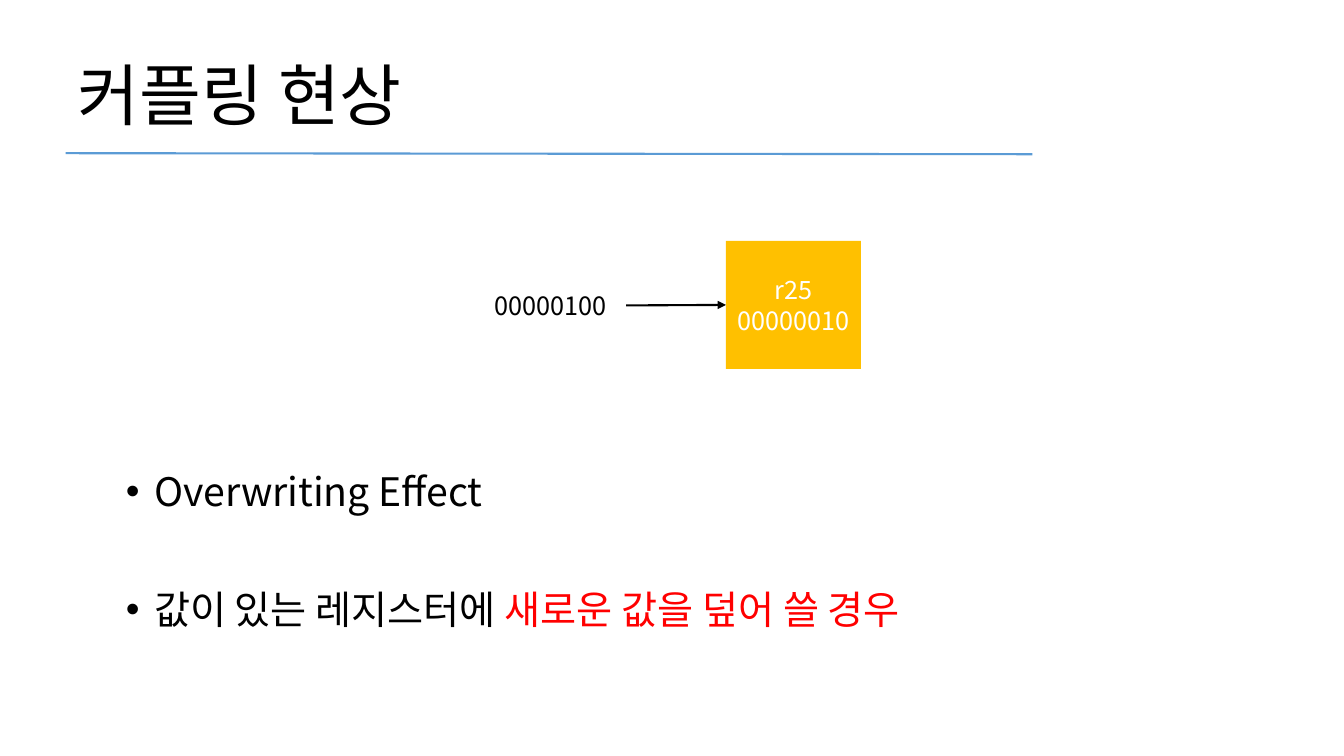
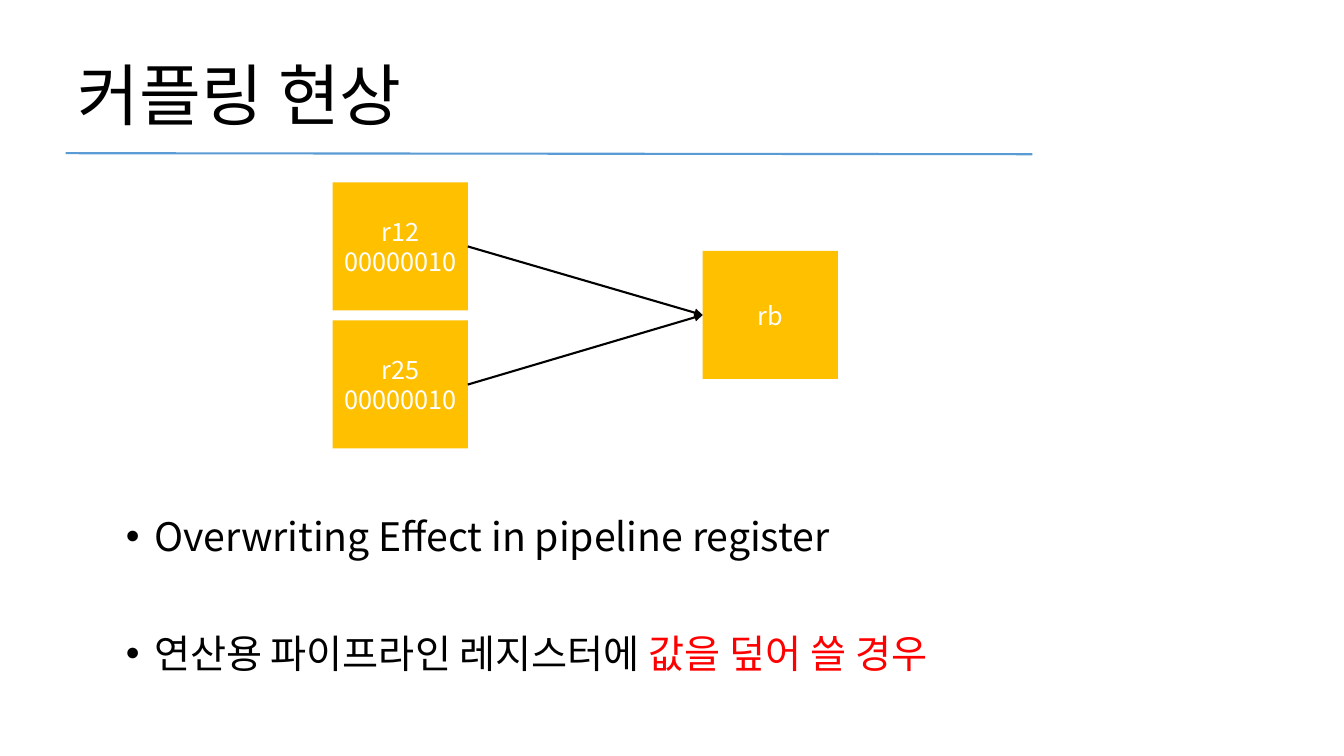
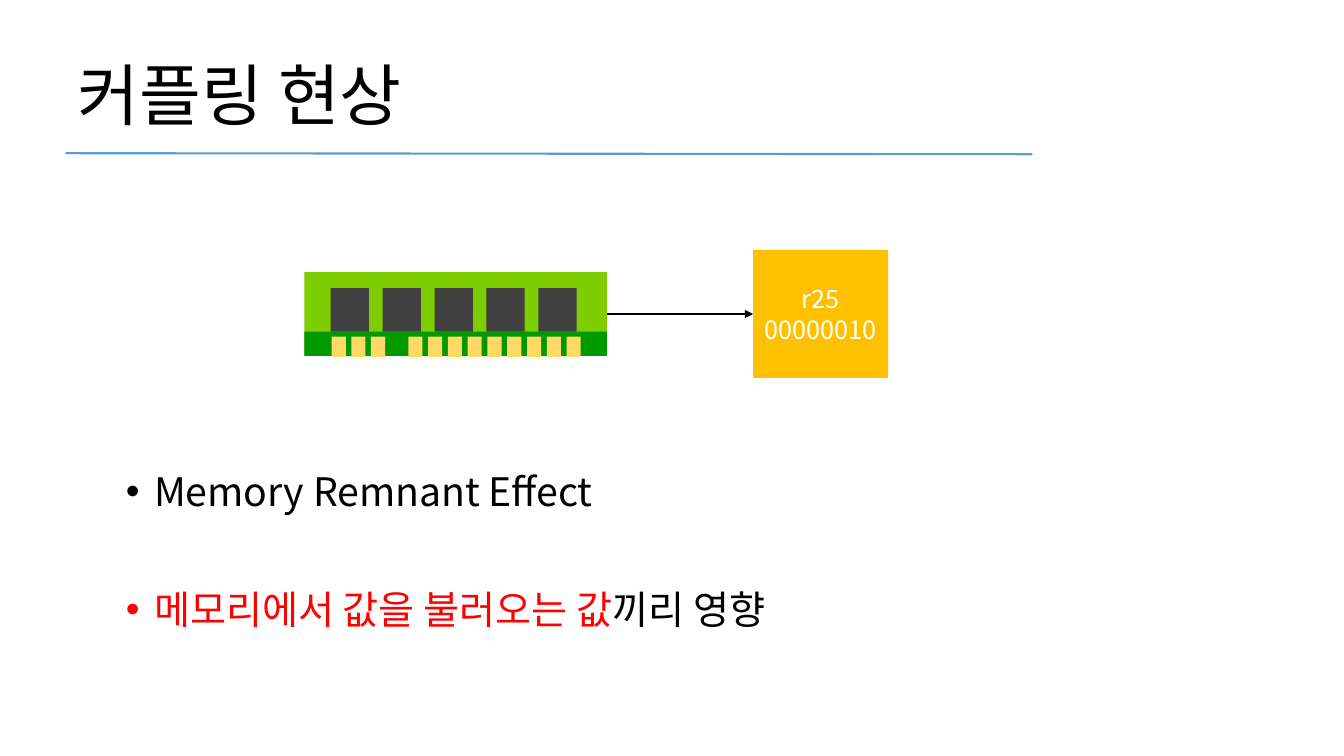
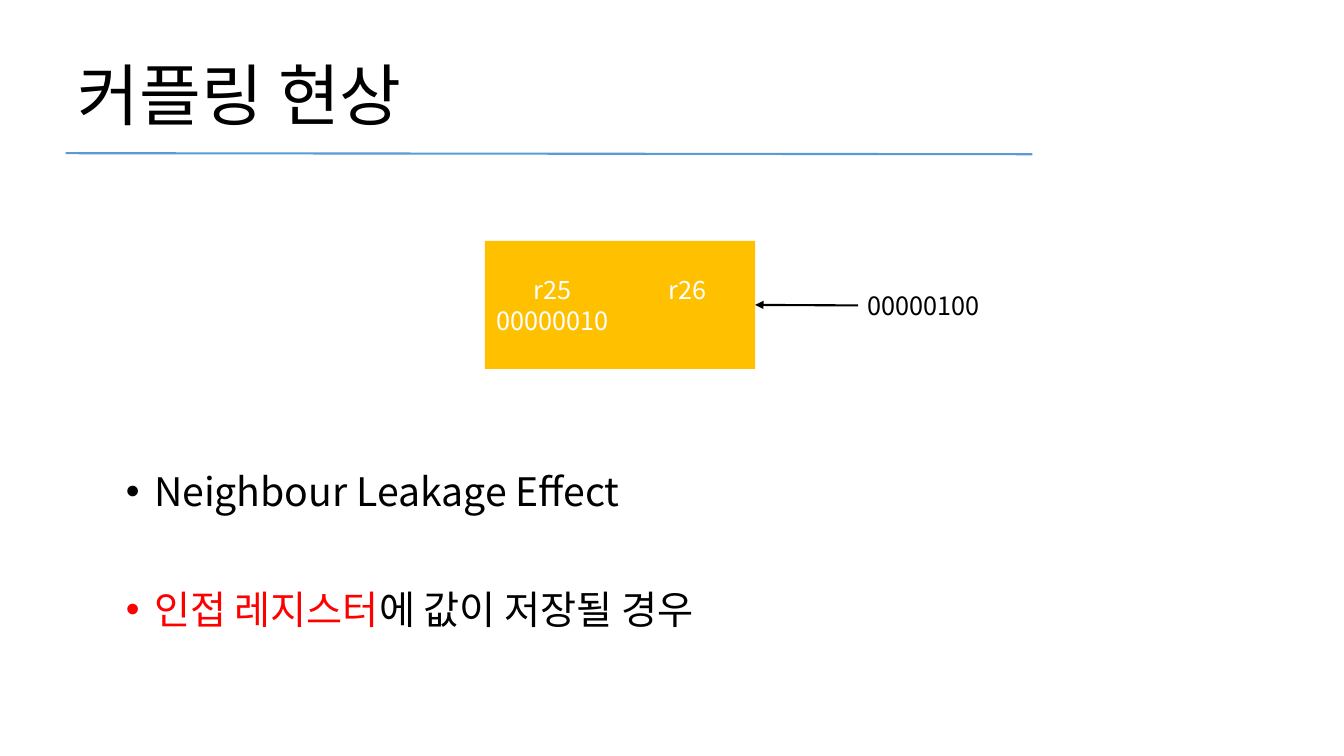
from dataclasses import dataclass
from typing import Optional

from lxml import etree
from pptx import Presentation
from pptx.dml.color import RGBColor
from pptx.enum.shapes import MSO_CONNECTOR, MSO_SHAPE
from pptx.enum.text import MSO_ANCHOR, MSO_AUTO_SIZE, PP_ALIGN
from pptx.oxml.ns import qn
from pptx.util import Inches, Pt

RECT = MSO_SHAPE.RECTANGLE
STRAIGHT = MSO_CONNECTOR.STRAIGHT
MIDDLE = MSO_ANCHOR.MIDDLE
SHAPE_TO_FIT = MSO_AUTO_SIZE.SHAPE_TO_FIT_TEXT
LEFT, CENTER = PP_ALIGN.LEFT, PP_ALIGN.CENTER
LEFT_SITE, RIGHT_SITE = 1, 3

FONT = "Noto Sans CJK KR"
BLACK, WHITE, RED = "000000", "FFFFFF", "FF0000"
RULE_BLUE, REGISTER_GOLD = "5B9BD5", "FFC000"
BOARD_GREEN, EDGE_GREEN = "7DCD00", "009900"
PIN_YELLOW, CHIP_GRAY = "FFD966", "404040"

TITLE = "커플링 현상"
REGISTER_W, REGISTER_H = 1.34, 1.27
LINE_H = 0.3  # one line of 18 pt text


@dataclass(frozen=True)
class Span:
    text: str
    color: str = BLACK


@dataclass(frozen=True)
class Register:
    x: float
    y: float
    name: str
    value: Optional[str] = None
    room_below: float = 0


def rgb(color: str) -> RGBColor:
    return RGBColor.from_string(color)


def box(x: float, y: float, w: float, h: float) -> tuple:
    return Inches(x), Inches(y), Inches(w), Inches(h)


def spread(first: float, last: float, count: int) -> list[float]:
    """Return evenly spaced positions, both ends included."""
    step = (last - first) / (count - 1)
    return [first + i * step for i in range(count)]


def add_text(p, text: str, *, size: float = 18, color: str = BLACK, align=LEFT) -> None:
    p.alignment = align
    r = p.add_run()
    r.text = text
    r.font.size = Pt(size)
    r.font.name = FONT
    r.font.color.rgb = rgb(color)
    etree.SubElement(r.font._element, qn("a:ea"), typeface=FONT)


def add_bullet(p, color: str) -> None:
    pPr = p._p.get_or_add_pPr()
    pPr.set("marL", str(Inches(0.28)))
    pPr.set("indent", str(Inches(-0.28)))
    clr = etree.SubElement(pPr, qn("a:buClr"))
    etree.SubElement(clr, qn("a:srgbClr"), val=color)
    etree.SubElement(pPr, qn("a:buFont"), typeface="Arial")
    etree.SubElement(pPr, qn("a:buChar"), char="•")


def add_rect(shapes, x: float, y: float, w: float, h: float, color: str):
    sp = shapes.add_shape(RECT, *box(x, y, w, h))
    sp.shadow.inherit = False
    sp.fill.solid()
    sp.fill.fore_color.rgb = rgb(color)
    sp.line.fill.background()
    return sp


def add_line(s, x1: float, y1: float, x2: float, y2: float, color: str):
    line = s.shapes.add_connector(
        STRAIGHT, Inches(x1), Inches(y1), Inches(x2), Inches(y2))
    line.line.color.rgb = rgb(color)
    line.line.width = Pt(1.5)
    etree.SubElement(line._element.spPr, qn("a:effectLst"))
    return line


def add_arrow(s, source, target, leftward: bool = False) -> None:
    """Join the facing sides of two shapes, with the head at the target."""
    sites = (LEFT_SITE, RIGHT_SITE) if leftward else (RIGHT_SITE, LEFT_SITE)
    arrow = add_line(s, 0, 0, 0, 0, BLACK)
    arrow.begin_connect(source, sites[0])
    arrow.end_connect(target, sites[1])
    etree.SubElement(arrow.line._get_or_add_ln(), qn("a:tailEnd"), type="triangle")


def add_register(s, reg: Register):
    sp = add_rect(s.shapes, reg.x, reg.y, REGISTER_W, REGISTER_H, REGISTER_GOLD)
    tf = sp.text_frame
    tf.word_wrap = True
    tf.vertical_anchor = MIDDLE
    tf.margin_bottom = Inches(0.05 + reg.room_below)
    add_text(tf.paragraphs[0], reg.name, color=WHITE, align=CENTER)
    if reg.value:
        add_text(tf.add_paragraph(), reg.value, color=WHITE, align=CENTER)
    return sp


def add_value(s, x: float, y: float, text: str):
    sp = s.shapes.add_textbox(*box(x, y, 1.4, 0.4))
    tf = sp.text_frame
    tf.word_wrap = True
    tf.auto_size = SHAPE_TO_FIT
    add_text(tf.paragraphs[0], text)
    return sp


def add_memory_module(s):
    """Draw the memory module and return its board."""
    shapes = s.shapes.add_group_shape().shapes
    board = add_rect(shapes, 3.02, 2.7, 3, 0.83, BOARD_GREEN)
    add_rect(shapes, 3.02, 3.29, 3, 0.24, EDGE_GREEN)
    for x in spread(3.29, 3.68, 3) + spread(4.05, 5.62, 9):
        add_rect(shapes, x, 3.34, 0.14, 0.2, PIN_YELLOW)
    for x in spread(3.28, 5.34, 5):
        add_rect(shapes, x, 2.86, 0.38, 0.43, CHIP_GRAY)
    return board


def add_points(s, *points: list[Span], y: float = 3.89) -> None:
    tf = s.shapes.add_textbox(*box(1.15, y, 11.05, 2.79)).text_frame
    tf.word_wrap = True
    for i, spans in enumerate(points):
        p = tf.add_paragraph() if i else tf.paragraphs[0]
        add_bullet(p, spans[0].color)
        p.line_spacing = 2.5
        for span in spans:
            add_text(p, span.text, size=28, color=span.color)


def new_slide(prs):
    s = prs.slides.add_slide(prs.slide_layouts.get_by_name("Title Only"))
    title = s.shapes.title
    title.left, title.top, title.width, title.height = box(0.67, 0.3, 12, 1.25)
    title.text_frame.vertical_anchor = MIDDLE
    add_text(title.text_frame.paragraphs[0], TITLE, size=48)
    add_line(s, 0.65, 1.52, 10.24, 1.53, RULE_BLUE)
    return s


def overwriting_slide(prs) -> None:
    s = new_slide(prs)
    r25 = add_register(s, Register(7.2, 2.39, "r25", "00000010"))
    add_arrow(s, add_value(s, 4.81, 2.83, "00000100"), r25)
    add_points(s, [Span("Overwriting Effect")],
               [Span("값이 있는 레지스터에 "), Span("새로운 값을 덮어 쓸 경우", RED)])


def pipeline_slide(prs) -> None:
    s = new_slide(prs)
    rb = add_register(s, Register(6.97, 2.49, "rb"))
    for name, y in (("r12", 1.81), ("r25", 3.18)):
        add_arrow(s, add_register(s, Register(3.3, y, name, "00000010")), rb)
    add_points(s, [Span("Overwriting Effect in pipeline register")],
               [Span("연산용 파이프라인 레지스터에 "), Span("값을 덮어 쓸 경우", RED)],
               y=4.33)


def memory_slide(prs) -> None:
    s = new_slide(prs)
    r25 = add_register(s, Register(7.47, 2.48, "r25", "00000010"))
    add_arrow(s, add_memory_module(s), r25)
    add_points(s, [Span("Memory Remnant Effect")],
               [Span("메모리에서 값을 불러오는 값", RED), Span("끼리 영향")])


def neighbour_slide(prs) -> None:
    s = new_slide(prs)
    x, y = 4.81, 2.39
    add_register(s, Register(x, y, "r25", "00000010"))
    r26 = add_register(s, Register(x + REGISTER_W, y, "r26", room_below=LINE_H))
    add_arrow(s, add_value(s, 8.51, 2.83, "00000100"), r26, leftward=True)
    add_points(s, [Span("Neighbour Leakage Effect")],
               [Span("인접 레지스터", RED), Span("에 값이 저장될 경우")])


def main() -> None:
    prs = Presentation()
    prs.slide_width, prs.slide_height = Inches(13.33), Inches(7.5)
    for build in (overwriting_slide, pipeline_slide, memory_slide, neighbour_slide):
        build(prs)
    prs.save("out.pptx")


if __name__ == "__main__":
    main()
